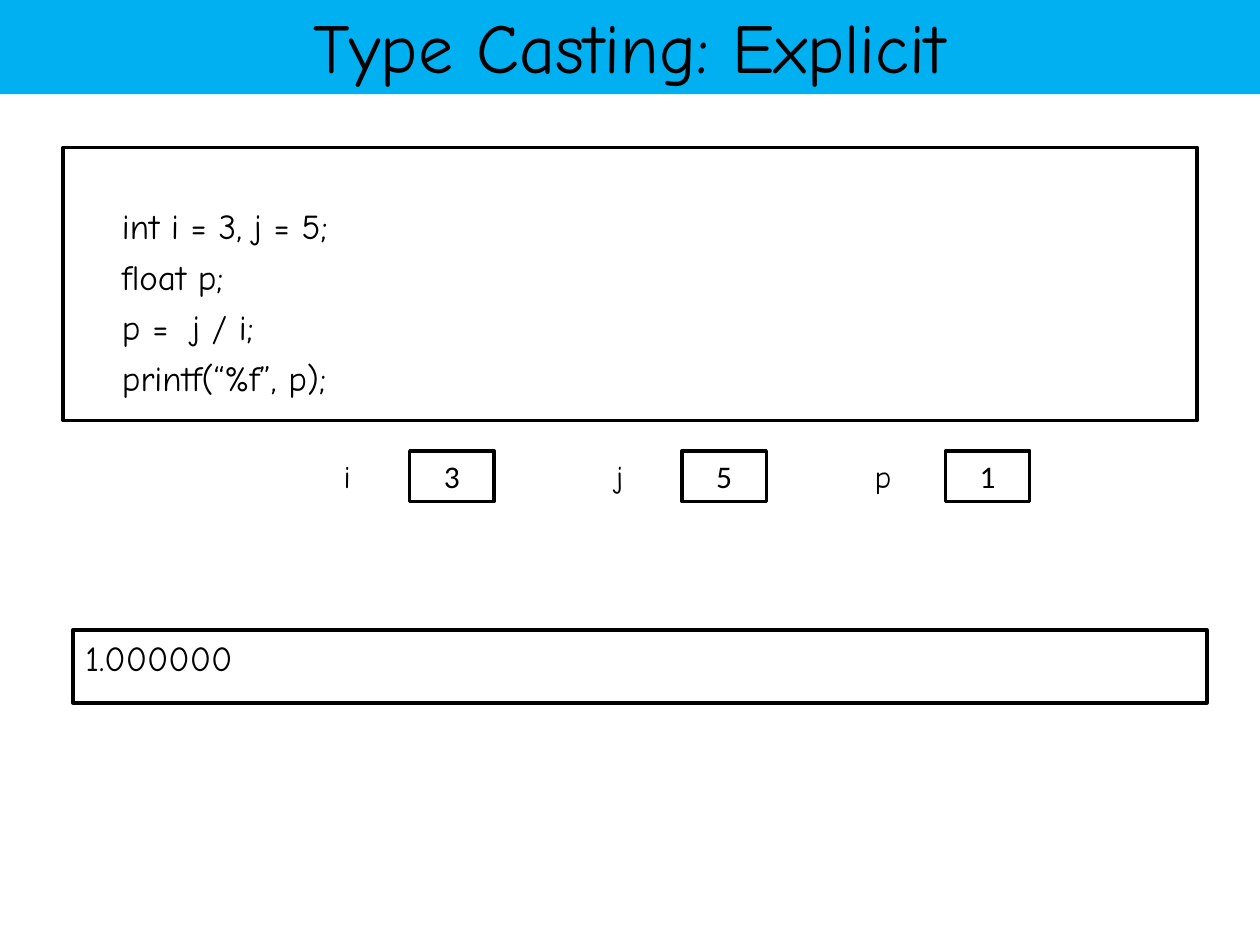
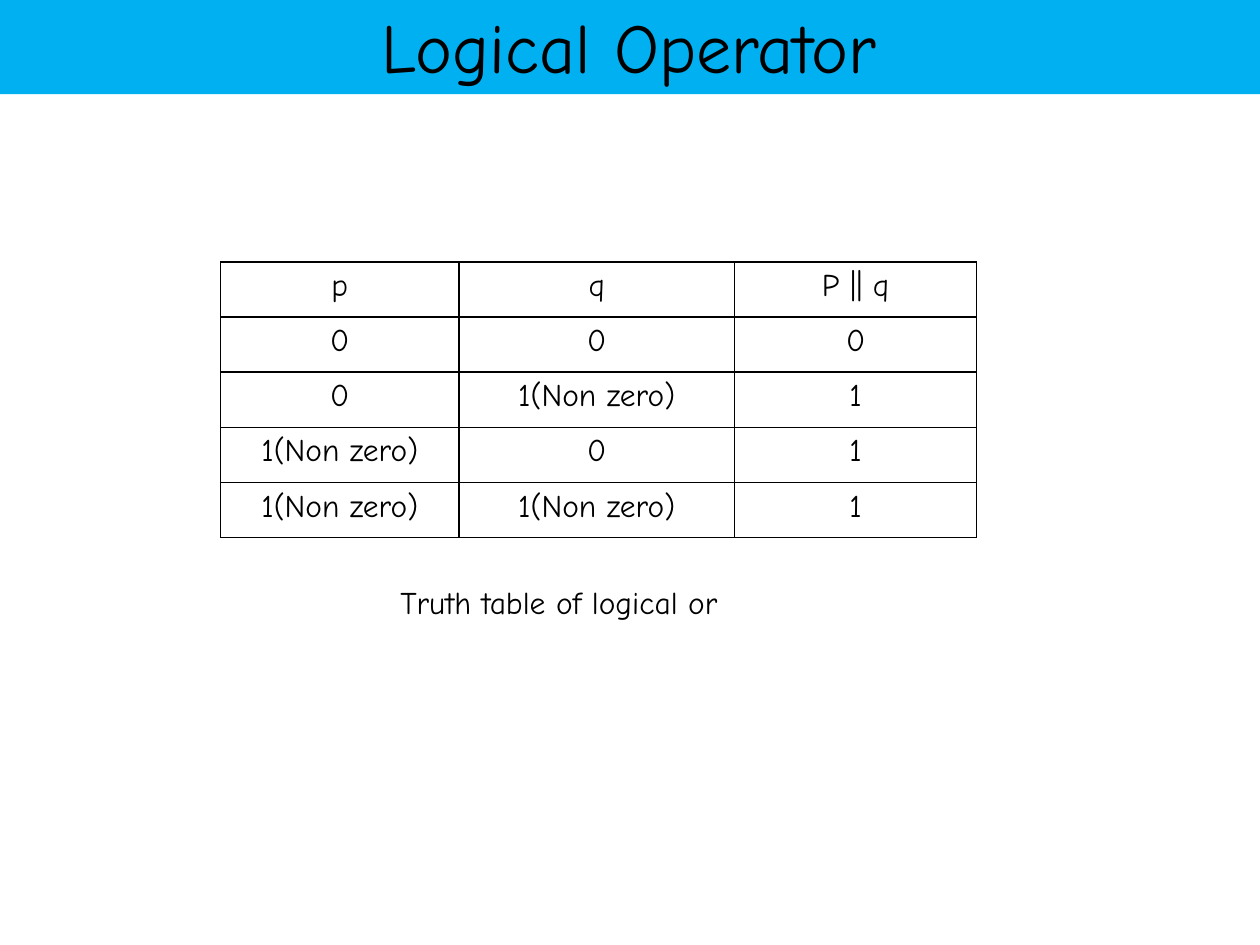
from collections import namedtuple

from lxml.etree import SubElement
from pptx import Presentation
from pptx.dml.color import RGBColor
from pptx.enum.shapes import MSO_SHAPE
from pptx.enum.text import MSO_ANCHOR, MSO_AUTO_SIZE, PP_ALIGN
from pptx.oxml.ns import qn
from pptx.util import Cm, Pt

COLORS = {"band": "00B0F0", "ink": "000000", "paper": "FFFFFF"}
HAND_FONT = "Comic Neue"
PLAIN_FONT = "Calibri"
TITLE_ONLY = 5

Box = namedtuple("Box", "left top width height")
TITLE_BAND = Box(-0.03, -0.08, 25.43, 1.98)


def color(name):
    """Return the named palette colour."""
    return RGBColor.from_string(COLORS[name])


def lengths(box):
    """Return the four sides of a box as lengths."""
    return [Cm(side) for side in box]


def write(frame, text, size, font=HAND_FONT, align=PP_ALIGN.LEFT, gap=0):
    """Fill a text frame and format its paragraphs and runs."""
    frame.text = text
    frame.word_wrap = True
    for number, para in enumerate(frame.paragraphs):
        para.alignment = align
        para.space_before = Pt(gap if number else 0)
        for span in para.runs:
            span.font.size = Pt(size)
            span.font.name = font
            span.font.color.rgb = color("ink")


def add_panel(page, box, outlined=True):
    """Add a white rectangle and return its text frame."""
    panel = page.shapes.add_shape(MSO_SHAPE.RECTANGLE, *lengths(box))
    panel.shadow.inherit = False
    panel.fill.solid()
    panel.fill.fore_color.rgb = color("paper")
    if outlined:
        panel.line.color.rgb = color("ink")
        panel.line.width = Pt(2)
    else:
        panel.line.fill.background()
    panel.text_frame.vertical_anchor = MSO_ANCHOR.TOP
    return panel.text_frame


def add_page(deck, title):
    """Add a slide with its title on the coloured band."""
    page = deck.slides.add_slide(deck.slide_layouts[TITLE_ONLY])
    band = page.shapes.title
    band.left, band.top, band.width, band.height = lengths(TITLE_BAND)
    band.fill.solid()
    band.fill.fore_color.rgb = color("band")
    write(band.text_frame, title, 40, align=PP_ALIGN.CENTER)
    band.text_frame.auto_size = MSO_AUTO_SIZE.NONE
    band.text_frame.vertical_anchor = MSO_ANCHOR.MIDDLE
    return page


def add_code(page, box, lines):
    """Add an outlined panel of indented code lines."""
    frame = add_panel(page, box)
    frame.margin_left = Cm(1.19)
    frame.margin_top = Cm(1.15)
    write(frame, "\n".join(lines), 20, gap=5)


def add_variables(page, box, variables):
    """Add a row of variable names, each beside its value cell."""
    width, value_offset = 1.7, 2.11
    for name, value, offset in variables:
        label = Box(box.left + offset, box.top, width, box.height)
        cell = label._replace(left=label.left + value_offset)
        write(add_panel(page, cell), value, 18, PLAIN_FONT, PP_ALIGN.CENTER)
        write(add_panel(page, label, outlined=False), name, 18, align=PP_ALIGN.CENTER)


def add_output(page, box, text):
    """Add the outlined panel that holds the program output."""
    write(add_panel(page, box), text, 20)


def draw_borders(cell):
    """Draw a thin dark line on all four sides of a table cell."""
    properties = cell._tc.get_or_add_tcPr()
    for side in ("a:lnL", "a:lnR", "a:lnT", "a:lnB"):
        line = SubElement(properties, qn(side), w=str(Pt(1)))
        fill = SubElement(line, qn("a:solidFill"))
        SubElement(fill, qn("a:srgbClr"), val=COLORS["ink"])


def add_truth_table(page, box, rows, column_widths):
    """Add a plain ruled table with centred entries."""
    table = page.shapes.add_table(len(rows), len(column_widths), *lengths(box)).table
    table.first_row = False
    table.horz_banding = False
    for column, width in zip(table.columns, column_widths):
        column.width = Cm(width)
    for row, values in zip(table.rows, rows):
        row.height = Cm(box.height / len(rows))
        for cell, value in zip(row.cells, values):
            draw_borders(cell)
            cell.fill.background()
            write(cell.text_frame, value, 18, align=PP_ALIGN.CENTER)


def add_caption(page, box, text):
    """Add a line of text below the table."""
    caption = page.shapes.add_textbox(*lengths(box))
    write(caption.text_frame, text, 18)


def build_casting_page(deck):
    """Build the slide on explicit type casting."""
    page = add_page(deck, "Type Casting: Explicit")
    code = ["int i = 3, j = 5;", "float p;", "p =  j / i;", "printf(“%f”, p);"]
    add_code(page, Box(1.27, 2.97, 22.86, 5.51), code)
    add_output(page, Box(1.47, 12.7, 22.86, 1.47), "1.000000")
    variables = [("i", "3", 0), ("j", "5", 5.49), ("p", "1", 10.8)]
    add_variables(page, Box(6.15, 9.09, 14.61, 1.02), variables)


def build_operator_page(deck):
    """Build the slide on the logical or operator."""
    page = add_page(deck, "Logical Operator")
    false, true = "0", "1(Non zero)"
    rows = [
        ("p", "q", "P || q"),
        (false, false, "0"),
        (false, true, "1"),
        (true, false, "1"),
        (true, true, "1"),
    ]
    add_truth_table(page, Box(4.45, 5.28, 15.24, 5.56), rows, (4.8, 5.56, 4.88))
    add_caption(page, Box(7.82, 11.63, 8.89, 1.02), "Truth table of logical or")


def main():
    """Build and save the deck."""
    deck = Presentation()
    deck.slide_width = Cm(25.4)
    deck.slide_height = Cm(19.05)
    build_casting_page(deck)
    build_operator_page(deck)
    deck.save("out.pptx")


main()
